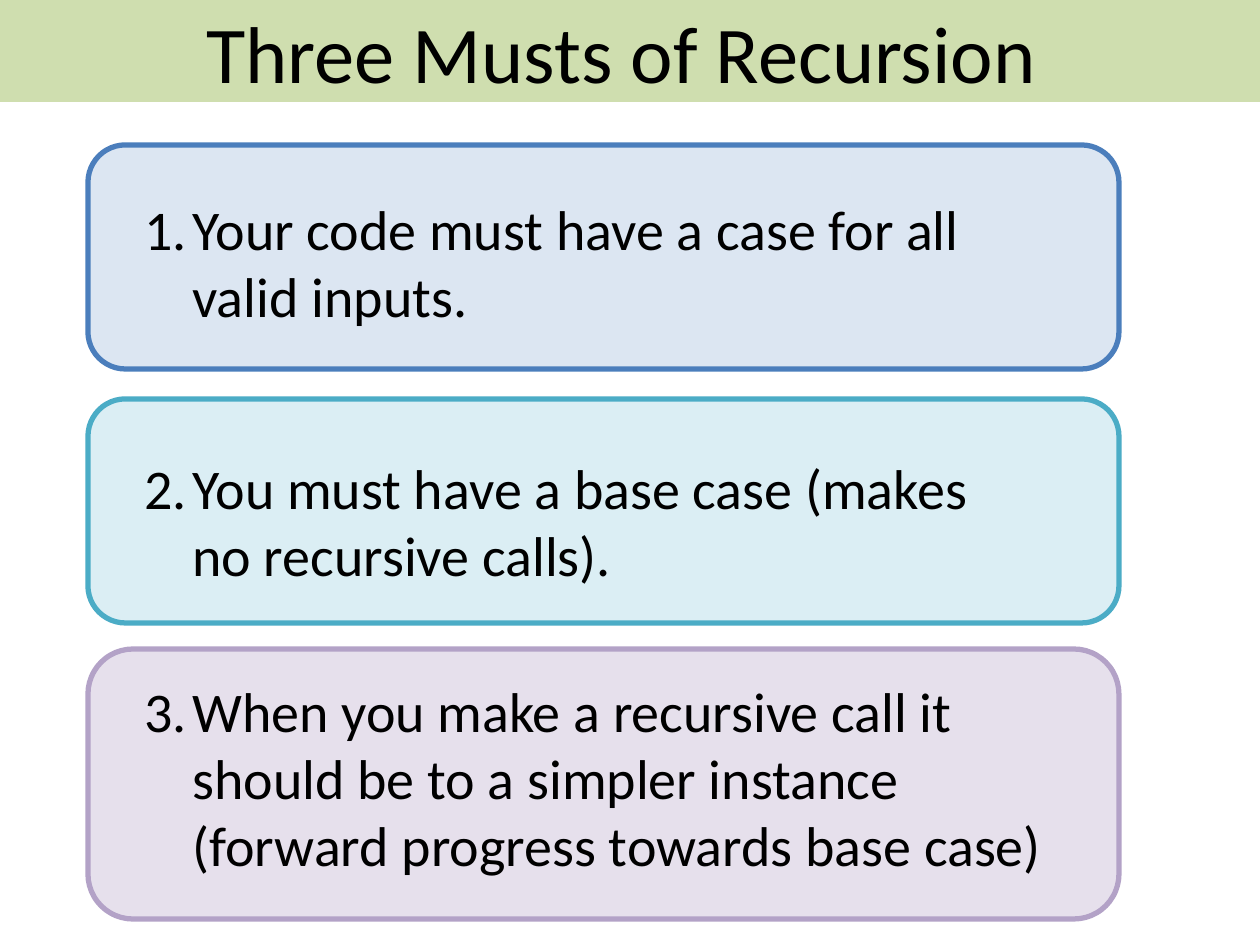
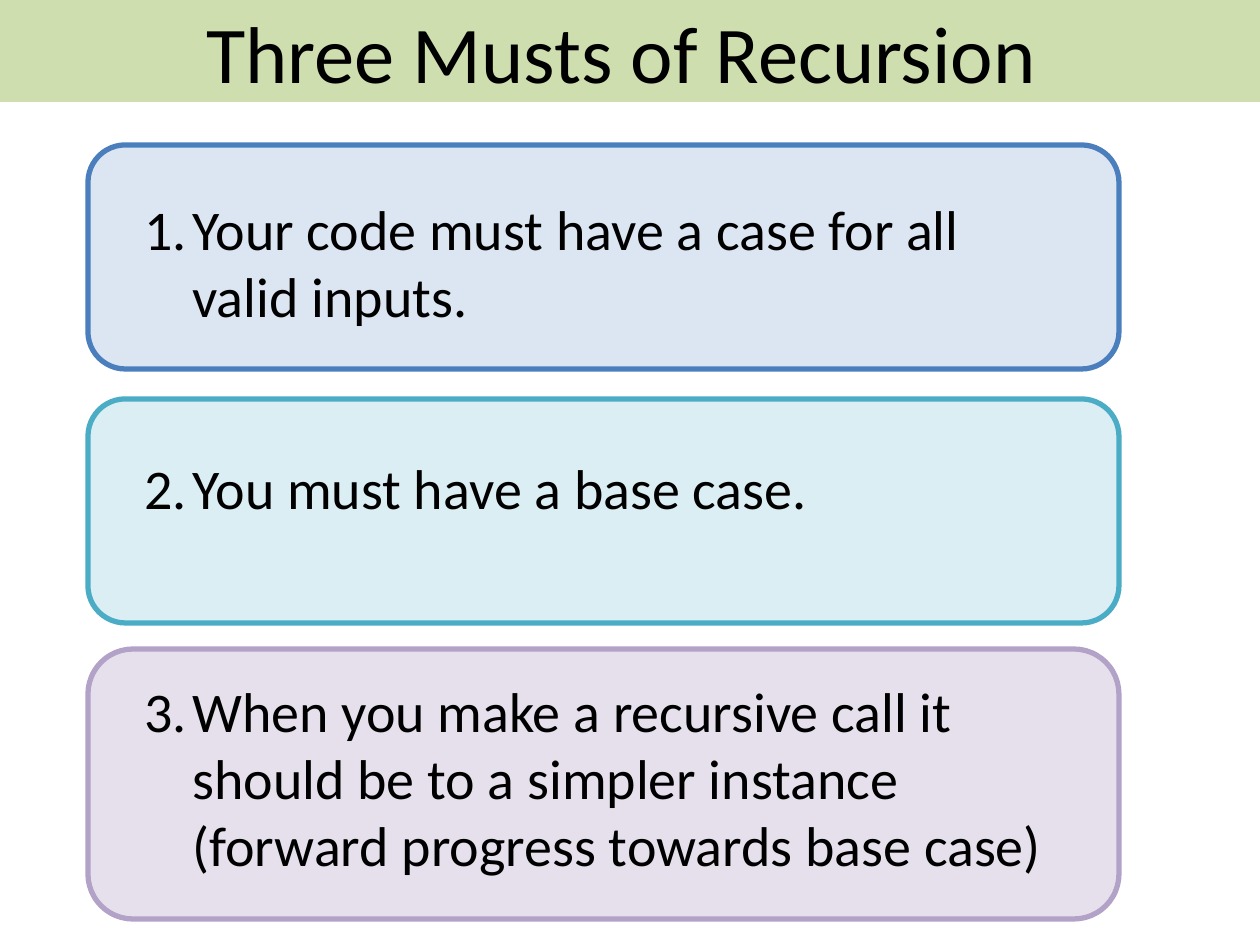
from dataclasses import dataclass

from lxml.etree import SubElement
from pptx import Presentation
from pptx.dml.color import RGBColor
from pptx.enum.shapes import MSO_SHAPE as Preset
from pptx.enum.text import MSO_ANCHOR as Anchor, MSO_AUTO_SIZE as AutoSize, PP_ALIGN as Align
from pptx.oxml.ns import qn
from pptx.util import Emu, Inches, Pt

PIXELS_PER_INCH = 126
SLIDE_WIDTH, SLIDE_HEIGHT = 1260, 945
TITLE_BAND = (0, 0, SLIDE_WIDTH, 102)
CARD_LEFT, CARD_WIDTH = 88, 1031
TEXT_INSET, HANGING_INDENT = 44, 48
FIRST_LINE_HEIGHT, LINE_STEP = 81, 68

BLACK = RGBColor(0x00, 0x00, 0x00)
BAND_GREEN = RGBColor(0xC3, 0xD6, 0x9B)
PALE_BLUE, BLUE = RGBColor(0xDC, 0xE6, 0xF2), RGBColor(0x4B, 0x7E, 0xBC)
PALE_AQUA, AQUA = RGBColor(0xDB, 0xEE, 0xF4), RGBColor(0x4B, 0xAC, 0xC6)
PALE_PURPLE, PURPLE = RGBColor(0xE6, 0xE0, 0xEC), RGBColor(0xB3, 0xA2, 0xC7)

TITLE_FONT = {"name": "Calibri", "size": Pt(46)}
RULE_FONT = {"name": "Calibri", "size": Pt(32)}


@dataclass
class Card:
    """Place and colours of one numbered card, with its text offset and width."""
    top: int
    height: int
    fill: RGBColor
    outline: RGBColor
    text_offset: int
    text_width: int


CARDS = [
    Card(145, 224, PALE_BLUE, BLUE, 43, 893),
    Card(399, 224, PALE_AQUA, AQUA, 48, 917),
    Card(649, 270, PALE_PURPLE, PURPLE, 21, 942),
]

TITLE = "Three Musts of Recursion "
ALL_INPUTS = ("Your code must have a case for all valid inputs.", 2)
SIMPLER_CALL = ("When you make a recursive call it should be to a simpler instance "
                "(forward progress towards base case)", 3)
SLIDE_RULES = [
    [ALL_INPUTS, ("You must have a base case (makes no recursive calls).", 2), SIMPLER_CALL],
    [ALL_INPUTS, ("You must have a base case.", 1), SIMPLER_CALL],
]


def px(length):
    """Turn pixels into EMU."""
    return Emu(round(length * Inches(1) / PIXELS_PER_INCH))


def set_attributes(target, values):
    """Set every attribute named in a dict of values."""
    for name, value in values.items():
        setattr(target, name, value)


def format_font(font, values):
    """Apply font values in black."""
    set_attributes(font, values)
    font.color.rgb = BLACK


def number_paragraph(paragraph, number):
    """Give a paragraph a hanging automatic number."""
    properties = paragraph._p.get_or_add_pPr()
    properties.set("marL", str(px(HANGING_INDENT)))
    properties.set("indent", str(-px(HANGING_INDENT)))
    SubElement(properties, qn("a:buFont"), typeface="+mj-lt")
    SubElement(properties, qn("a:buAutoNum"), type="arabicPeriod", startAt=str(number))


def add_title_band(slide, box):
    """Turn the title placeholder into the translucent band across the top."""
    band = slide.shapes.title
    set_attributes(band, dict(zip(("left", "top", "width", "height"), map(px, box))))
    band.fill.solid()
    band.fill.fore_color.rgb = BAND_GREEN
    color = band.fill._xPr.find(qn("a:solidFill")).find(qn("a:srgbClr"))
    SubElement(color, qn("a:alpha"), val="80000")
    frame = band.text_frame
    set_attributes(frame, {"text": TITLE, "word_wrap": True,
                           "auto_size": AutoSize.NONE, "vertical_anchor": Anchor.MIDDLE})
    paragraph = frame.paragraphs[0]
    paragraph.alignment = Align.CENTER
    format_font(paragraph.runs[0].font, TITLE_FONT)


def add_card(slide, card):
    """Draw the rounded outline of one card."""
    shape = slide.shapes.add_shape(
        Preset.ROUNDED_RECTANGLE, px(CARD_LEFT), px(card.top), px(CARD_WIDTH), px(card.height))
    shape.shadow.inherit = False
    shape.fill.solid()
    shape.fill.fore_color.rgb = card.fill
    shape.line.color.rgb = card.outline
    shape.line.width = Pt(3)


def add_rule(slide, card, number, text, line_count):
    """Write one numbered rule inside its card."""
    height = FIRST_LINE_HEIGHT + (line_count - 1) * LINE_STEP
    text_box = slide.shapes.add_textbox(
        px(CARD_LEFT + TEXT_INSET), px(card.top + card.text_offset),
        px(card.text_width), px(height))
    frame = text_box.text_frame
    set_attributes(frame, {"text": text, "word_wrap": True,
                           "auto_size": AutoSize.SHAPE_TO_FIT_TEXT})
    paragraph = frame.paragraphs[0]
    number_paragraph(paragraph, number)
    format_font(paragraph.font, RULE_FONT)
    format_font(paragraph.runs[0].font, RULE_FONT)


def add_rules_slide(presentation, rules):
    """Add a slide with the title band and one card for each rule."""
    slide = presentation.slides.add_slide(presentation.slide_layouts.get_by_name("Title Only"))
    add_title_band(slide, TITLE_BAND)
    for number, (card, (text, line_count)) in enumerate(zip(CARDS, rules), start=1):
        add_card(slide, card)
        add_rule(slide, card, number, text, line_count)


def main():
    """Build and save the presentation."""
    presentation = Presentation()
    presentation.slide_width, presentation.slide_height = px(SLIDE_WIDTH), px(SLIDE_HEIGHT)
    for rules in SLIDE_RULES:
        add_rules_slide(presentation, rules)
    presentation.save("out.pptx")


if __name__ == "__main__":
    main()
